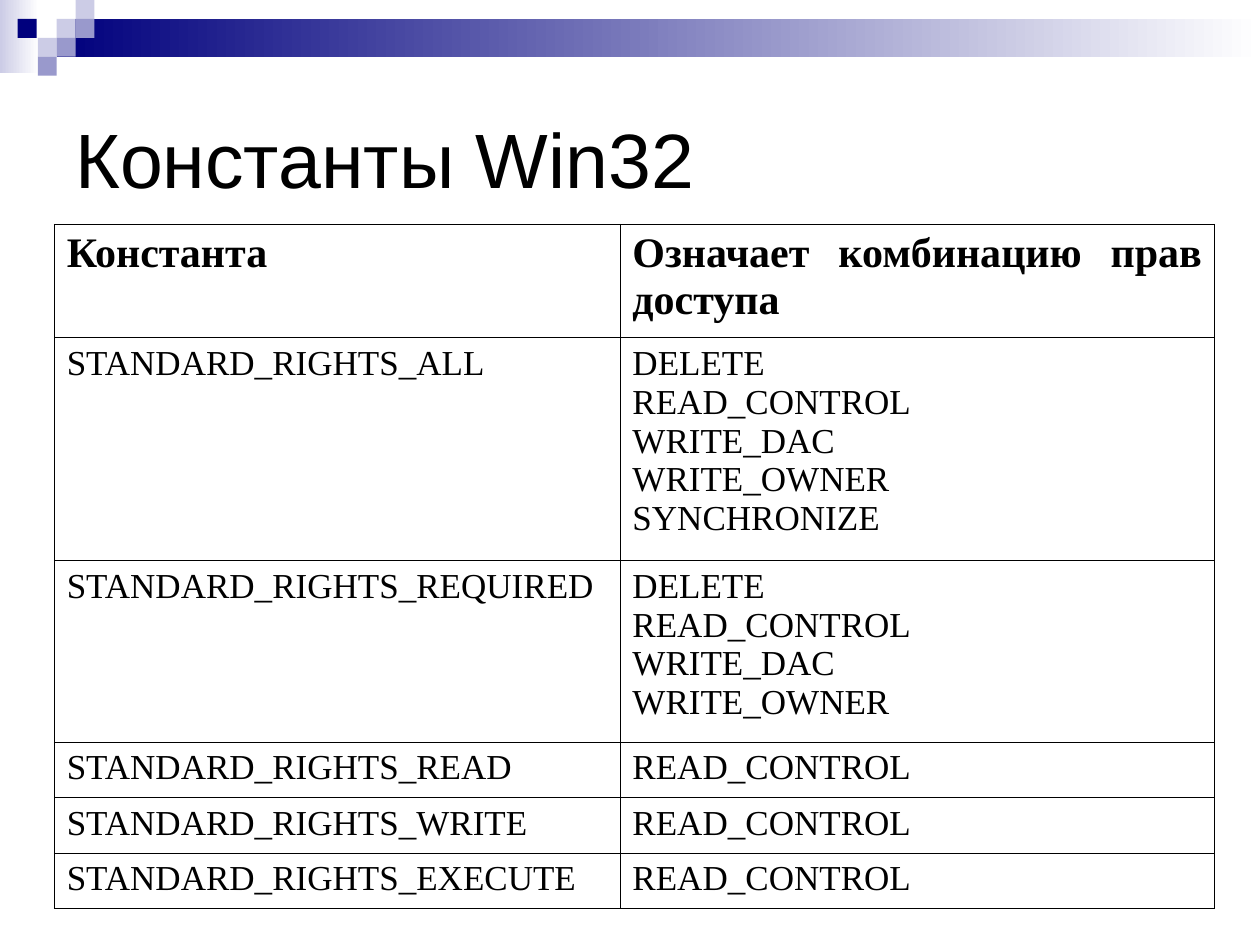
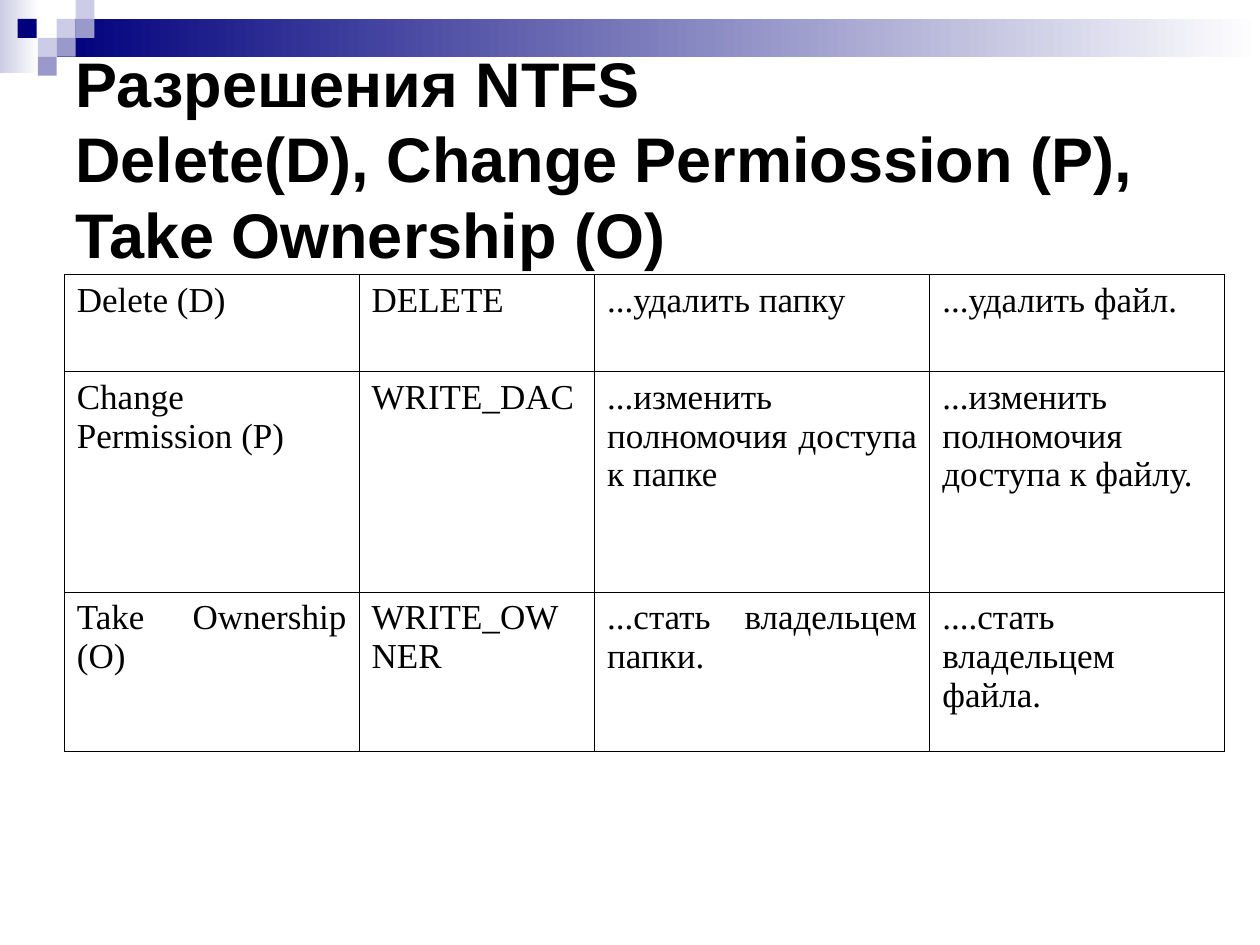
from lxml import etree
from pptx import Presentation
from pptx.dml.color import RGBColor
from pptx.enum.shapes import MSO_SHAPE
from pptx.enum.text import MSO_ANCHOR, PP_ALIGN
from pptx.oxml.ns import qn
from pptx.util import Inches, Pt

RECTANGLE = MSO_SHAPE.RECTANGLE
MIDDLE = MSO_ANCHOR.MIDDLE
LEFT, JUSTIFY = PP_ALIGN.LEFT, PP_ALIGN.JUSTIFY

THEME = {
    "navy": "00007D",
    "lavender": "9999CC",
    "pale": "CCCCE6",
    "white": "FFFFFF",
    "text": "000000",
    "title_font": "Arial",
    "table_font": "Times New Roman",
    "header_size": 24,
    "body_size": 20,
    "border_width": 0.45,
}

# left, top, width, height, colours (two colours make a gradient)
SQUARE = 0.15
BAND_SHAPES = [
    (0, 0, 0.31, 0.58, ("pale", "white")),
    (0.45, 0.15, 9.55, 0.3, ("navy", "white")),
] + [
    (left, top, SQUARE, SQUARE, (colour,))
    for left, top, colour in [
        (0.45, 0.15, "pale"),
        (0.6, 0, "pale"),
        (0.6, 0.15, "lavender"),
        (0.3, 0.3, "pale"),
        (0.14, 0.15, "navy"),
        (0.45, 0.3, "lavender"),
        (0.3, 0.45, "lavender"),
    ]
]

SLIDES = [
    {
        "title": "Константы Win32",
        "title_format": {"size": Pt(44), "bold": False},
        "position": (0.43, 1.78),
        "columns": [4.49, 4.72],
        "row_heights": [0.9, 1.77, 1.44, 0.44, 0.44, 0.44],
        "has_header": True,
        "rows": [
            ["Константа", "Означает комбинацию прав доступа"],
            ["STANDARD_RIGHTS_ALL",
             "DELETE\nREAD_CONTROL\nWRITE_DAC\nWRITE_OWNER\nSYNCHRONIZE"],
            ["STANDARD_RIGHTS_REQUIRED",
             "DELETE\nREAD_CONTROL\nWRITE_DAC\nWRITE_OWNER"],
            ["STANDARD_RIGHTS_READ", "READ_CONTROL"],
            ["STANDARD_RIGHTS_WRITE", "READ_CONTROL"],
            ["STANDARD_RIGHTS_EXECUTE", "READ_CONTROL"],
        ],
    },
    {
        "title": "Разрешения NTFS\vDelete(D), Change Permiossion (P), Take Ownership (O)",
        "title_format": {"size": Pt(36), "bold": True},
        "position": (0.51, 2.18),
        "columns": [2.34, 1.87, 2.66, 2.34],
        "row_heights": [0.77, 1.75, 1.26],
        "has_header": False,
        "rows": [
            ["Delete (D)", "DELETE", "...удалить папку", "...удалить файл."],
            ["Change Permission (Р)", "WRITE_DAC",
             "...изменить полномочия доступа к папке",
             "...изменить полномочия доступа к файлу."],
            ["Take Ownership (О)", "WRITE_OWNER",
             "...стать владельцем папки.", "....стать владельцем файла."],
        ],
    },
]


def write_text(text_frame, text, alignment, font_format):
    text_frame.text = text
    for paragraph in text_frame.paragraphs:
        paragraph.alignment = alignment
        for run in paragraph.runs:
            run.font.color.rgb = RGBColor.from_string(THEME["text"])
            for name, value in font_format.items():
                setattr(run.font, name, value)


def add_borders(cell):
    """Draw a thin line on all four sides; lines must precede the fill in the XML."""
    properties = cell._tc.get_or_add_tcPr()
    for index, side in enumerate(("a:lnL", "a:lnR", "a:lnT", "a:lnB")):
        line = etree.Element(qn(side), w=str(Pt(THEME["border_width"])))
        fill = etree.SubElement(line, qn("a:solidFill"))
        etree.SubElement(fill, qn("a:srgbClr"), val=THEME["text"])
        properties.insert(index, line)


presentation = Presentation()
presentation.slide_width = Inches(10)
presentation.slide_height = Inches(7.5)
blank_layout = presentation.slide_layouts[6]

for content in SLIDES:
    slide = presentation.slides.add_slide(blank_layout)

    for *box, colours in BAND_SHAPES:
        shape = slide.shapes.add_shape(RECTANGLE, *map(Inches, box))
        shape.shadow.inherit = False
        shape.line.fill.background()
        if len(colours) == 1:
            shape.fill.solid()
            targets = [shape.fill.fore_color]
        else:
            shape.fill.gradient()
            shape.fill.gradient_angle = 0
            targets = [stop.color for stop in shape.fill.gradient_stops]
        for target, colour in zip(targets, colours):
            target.rgb = RGBColor.from_string(THEME[colour])

    title = slide.shapes.add_textbox(Inches(0.5), Inches(0.5), Inches(9), Inches(1.5))
    title.text_frame.word_wrap = True
    title.text_frame.vertical_anchor = MIDDLE
    write_text(title.text_frame, content["title"], LEFT,
               {"name": THEME["title_font"], **content["title_format"]})

    columns, heights = content["columns"], content["row_heights"]
    left, top = content["position"]
    table = slide.shapes.add_table(
        len(heights), len(columns), Inches(left), Inches(top),
        Inches(sum(columns)), Inches(sum(heights))).table
    table.first_row = content["has_header"]
    table.horz_banding = False
    for column, width in zip(table.columns, columns):
        column.width = Inches(width)

    for row_index, (row, height) in enumerate(zip(table.rows, heights)):
        row.height = Inches(height)
        is_header = content["has_header"] and row_index == 0
        cell_format = {
            "name": THEME["table_font"],
            "size": Pt(THEME["header_size" if is_header else "body_size"]),
            "bold": is_header,
        }
        for cell, text in zip(row.cells, content["rows"][row_index]):
            write_text(cell.text_frame, text, JUSTIFY, cell_format)
            cell.fill.background()
            add_borders(cell)

presentation.save("out.pptx")
